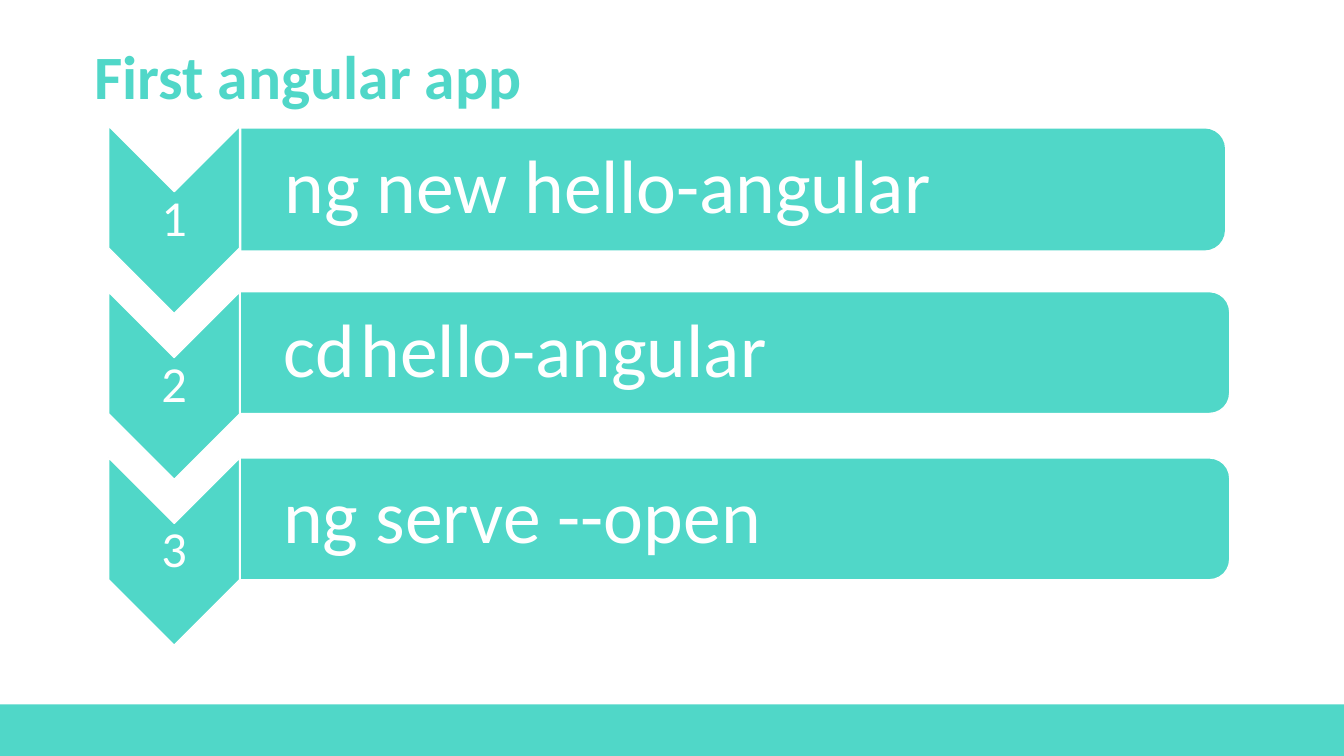
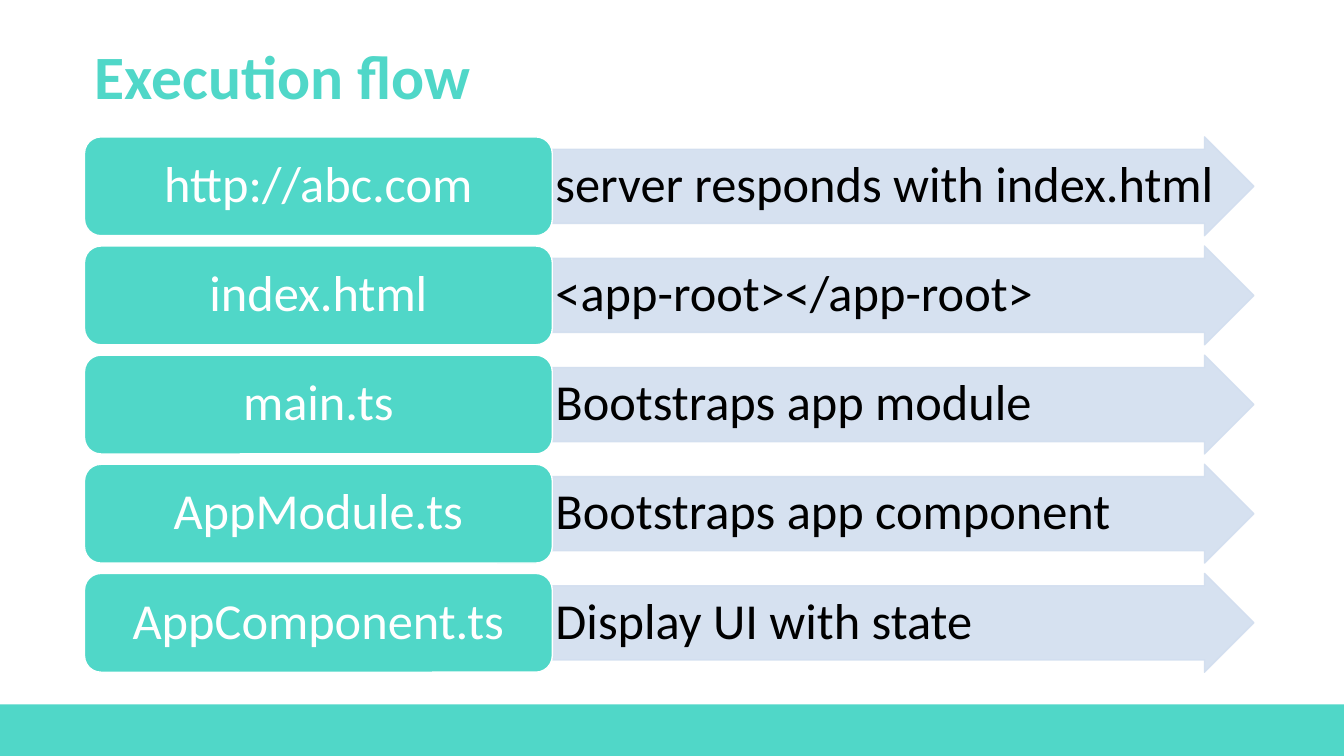
from lxml.etree import SubElement
from pptx import Presentation
from pptx.dml.color import RGBColor
from pptx.enum.shapes import MSO_SHAPE
from pptx.enum.text import MSO_ANCHOR, PP_ALIGN
from pptx.oxml.ns import qn
from pptx.util import Cm, Pt

FONT = "Calibri"
TEAL = "50D7C8"
PALE_BLUE = "D2DEEF"
WHITE = "FFFFFF"
BLACK = "000000"
SLIDE_WIDTH, SLIDE_HEIGHT = 33.87, 19.05
BAND_HEIGHT = 1.3
TITLE_ONLY = 5

CHEVRON_LEFT, CHEVRON_TOP = 2.74, 3.18
CHEVRON_WIDTH, CHEVRON_HEIGHT = 3.3, 4.72
CHEVRON_PITCH = 4.18
NUMBER_OFFSET, NUMBER_HEIGHT = 1.65, 1.42
BAR_HEIGHT = 3.07

ROW_LEFT, ROW_TOP, ROW_HEIGHT, ROW_PITCH = 2.13, 3.45, 2.49, 2.75
SOURCE_WIDTH, ARROW_WIDTH, RESULT_WIDTH = 11.79, 17.68, 17

COMMANDS = [
    ([("ng new hello-angular", 54)], 6.08, 3.24, 24.79, None),
    ([("cd", 54), (" ", 18), ("hello-angular", 54)], 6.05, 7.35, 24.94, WHITE),
    ([("ng serve --open", 54)], 6.05, 11.54, 24.94, WHITE),
]
FLOW = [
    ("http://abc.com", "server responds with index.html"),
    ("index.html", "<app-root></app-root>"),
    ("main.ts", "Bootstraps app module"),
    ("AppModule.ts", "Bootstraps app component"),
    ("AppComponent.ts", "Display UI with state"),
]


def color(hex_string):
    return RGBColor.from_string(hex_string)


def add_filled_shape(slide, kind, left, top, width, height, fill, line=None):
    shape = slide.shapes.add_shape(kind, Cm(left), Cm(top), Cm(width), Cm(height))
    shape.shadow.inherit = False
    shape.fill.solid()
    shape.fill.fore_color.rgb = color(fill)
    if line:
        shape.line.color.rgb = color(line)
        shape.line.width = Pt(1)
    else:
        shape.line.fill.background()
    return shape


def add_turned_shape(slide, kind, left, top, width, height, line):
    turned_left = left + (width - height) / 2
    turned_top = top + (height - width) / 2
    shape = add_filled_shape(slide, kind, turned_left, turned_top, height, width, TEAL, line)
    shape.rotation = 90


def set_opacity(shape, percent):
    for element in shape.element.spPr.iter(qn("a:srgbClr")):
        SubElement(element, qn("a:alpha"), val=str(percent * 1000))


def write_text(shape, runs, font_color, align=PP_ALIGN.LEFT, side=0.23, edge=0.1, bold=False):
    frame = shape.text_frame
    frame.word_wrap = True
    frame.vertical_anchor = MSO_ANCHOR.MIDDLE
    frame.margin_left = frame.margin_right = Cm(side)
    frame.margin_top = frame.margin_bottom = Cm(edge)
    paragraph = frame.paragraphs[0]
    paragraph.alignment = align
    paragraph.line_spacing = 0.9
    paragraph.font.name = FONT
    paragraph.font.bold = bold
    paragraph.font.color.rgb = color(font_color)
    for text, size in runs:
        run = paragraph.add_run()
        run.text = text
        run.font.size = Pt(size)


def add_text_box(slide, left, top, width, height, runs, font_color, **style):
    box = slide.shapes.add_textbox(Cm(left), Cm(top), Cm(width), Cm(height))
    write_text(box, runs, font_color, **style)


def add_titled_slide(presentation, title):
    slide = presentation.slides.add_slide(presentation.slide_layouts[TITLE_ONLY])
    shape = slide.shapes.title
    shape.left, shape.top, shape.width, shape.height = Cm(2.13), Cm(0.8), Cm(29.49), Cm(2.39)
    write_text(shape, [(title, 44)], TEAL, side=0.25, bold=True)
    return slide


def add_master_band(presentation, slide):
    band = add_filled_shape(slide, MSO_SHAPE.RECTANGLE, 0, SLIDE_HEIGHT - BAND_HEIGHT,
                            SLIDE_WIDTH, BAND_HEIGHT, TEAL)
    presentation.slide_master.element.cSld.spTree.append(band.element)


def add_command(slide, index, runs, left, top, width, line):
    chevron_top = CHEVRON_TOP + index * CHEVRON_PITCH
    add_turned_shape(slide, MSO_SHAPE.CHEVRON, CHEVRON_LEFT, chevron_top,
                     CHEVRON_WIDTH, CHEVRON_HEIGHT, WHITE)
    add_text_box(slide, CHEVRON_LEFT, chevron_top + NUMBER_OFFSET, CHEVRON_WIDTH, NUMBER_HEIGHT,
                 [(str(index + 1), 36)], WHITE, align=PP_ALIGN.CENTER)
    add_turned_shape(slide, MSO_SHAPE.ROUND_2_SAME_RECTANGLE, left, top, width, BAR_HEIGHT, line)
    add_text_box(slide, left, top, width, BAR_HEIGHT, runs, WHITE, side=1.09)


def add_flow_row(slide, index, source, result):
    top = ROW_TOP + index * ROW_PITCH
    arrow_left = ROW_LEFT + SOURCE_WIDTH
    arrow = add_filled_shape(slide, MSO_SHAPE.RIGHT_ARROW, arrow_left, top,
                             ARROW_WIDTH, ROW_HEIGHT, PALE_BLUE, PALE_BLUE)
    arrow.adjustments[0] = 0.75
    set_opacity(arrow, 90)
    add_text_box(slide, arrow_left, top, RESULT_WIDTH, ROW_HEIGHT, [(result, 36)], BLACK,
                 side=0.08, edge=0.08)
    box = add_filled_shape(slide, MSO_SHAPE.ROUNDED_RECTANGLE, ROW_LEFT, top,
                           SOURCE_WIDTH, ROW_HEIGHT, TEAL, WHITE)
    write_text(box, [(source, 36)], WHITE, align=PP_ALIGN.CENTER, side=0.38, edge=0.19)


def main():
    presentation = Presentation()
    presentation.slide_width = Cm(SLIDE_WIDTH)
    presentation.slide_height = Cm(SLIDE_HEIGHT)

    commands_slide = add_titled_slide(presentation, "First angular app")
    add_master_band(presentation, commands_slide)
    for index, command in enumerate(COMMANDS):
        add_command(commands_slide, index, *command)

    flow_slide = add_titled_slide(presentation, "Execution flow")
    for index, (source, result) in enumerate(FLOW):
        add_flow_row(flow_slide, index, source, result)

    presentation.save("out.pptx")


main()
